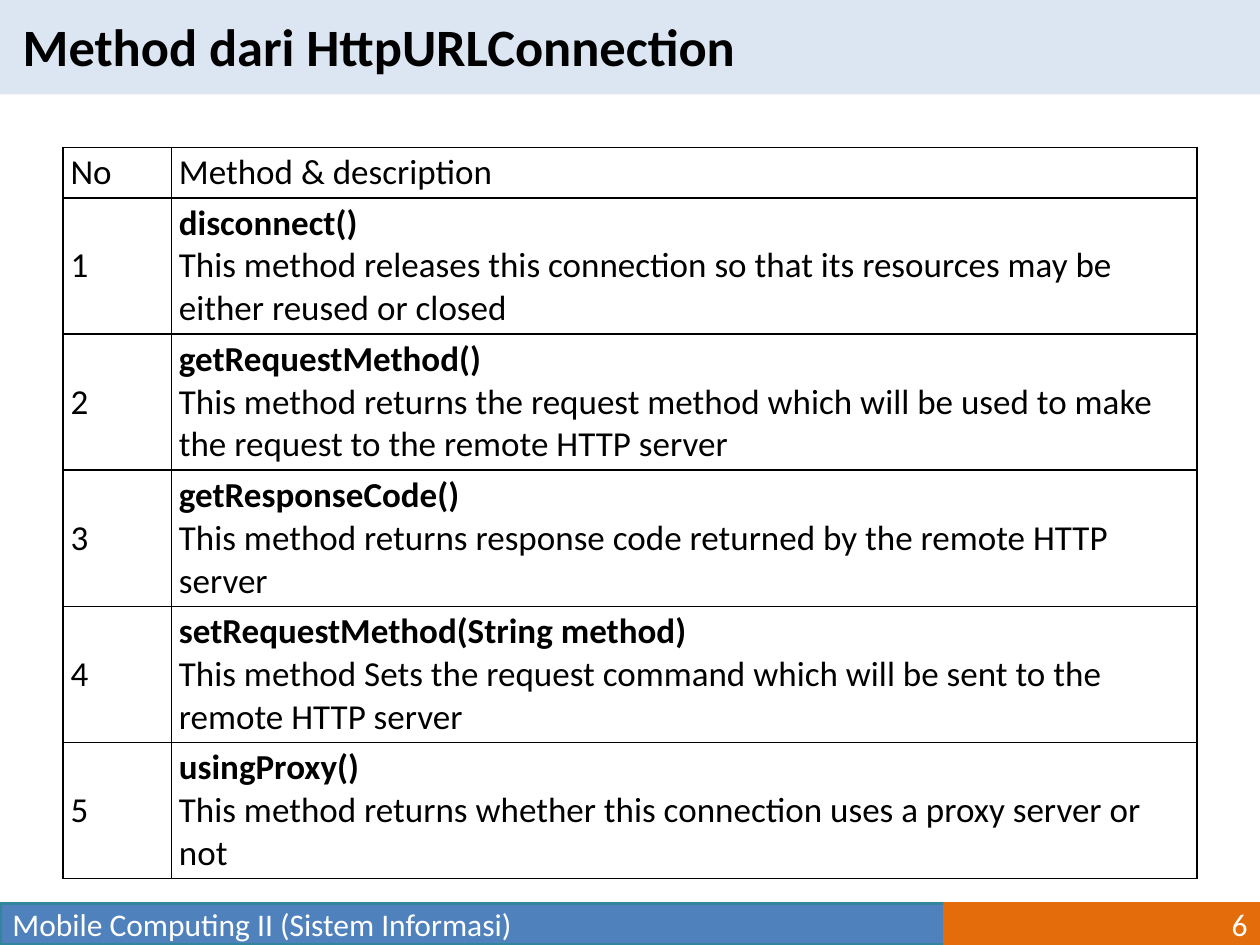
import pptx
import pptx.util
import pptx.dml.color
import pptx.enum.shapes
import pptx.enum.text
import pptx.oxml
import pptx.oxml.ns
from pptx.util import Inches

COLORS = {
    "band": "DCE6F2",
    "footer": "4F81BD",
    "footer_line": "31859C",
    "number": "E46C0A",
    "dark": "000000",
    "light": "FFFFFF",
}
ALIGN = pptx.enum.text.PP_ALIGN
MIDDLE = pptx.enum.text.MSO_ANCHOR.MIDDLE

METHODS = [
    ("disconnect()", "This method releases this connection so that its resources may be either reused or closed"),
    ("getRequestMethod()", "This method returns the request method which will be used to make the request to the remote HTTP server"),
    ("getResponseCode()", "This method returns response code returned by the remote HTTP server"),
    ("setRequestMethod(String method)", "This method Sets the request command which will be sent to the remote HTTP server"),
    ("usingProxy()", "This method returns whether this connection uses a proxy server or not"),
]


def write(para, text, size, color, bold=False):
    span = para.add_run()
    span.text = text
    formats = {"name": "Calibri", "size": pptx.util.Pt(size), "bold": bold}
    for name, value in formats.items():
        setattr(span.font, name, value)
    span.font.color.rgb = pptx.dml.color.RGBColor.from_string(COLORS[color])


def add_bar(page, left, top, width, height, fill, line=None):
    bar = page.shapes.add_shape(
        pptx.enum.shapes.MSO_SHAPE.RECTANGLE,
        Inches(left), Inches(top), Inches(width), Inches(height))
    bar.shadow.inherit = False
    bar.fill.solid()
    bar.fill.fore_color.rgb = pptx.dml.color.RGBColor.from_string(COLORS[fill])
    if line:
        bar.line.color.rgb = pptx.dml.color.RGBColor.from_string(COLORS[line])
        bar.line.width = pptx.util.Pt(2)
    else:
        bar.line.fill.background()
    return bar


deck = pptx.Presentation()
deck.slide_width, deck.slide_height = Inches(10), Inches(7.5)
page = deck.slides.add_slide(deck.slide_layouts[5])

# Title on its band
title = page.shapes.title
band = add_bar(page, 0, 0, 10, 0.75, "band")
title.element.addprevious(band.element)
placement = {"left": 0.08, "top": 0.06, "width": 5.93, "height": 0.61}
for name, value in placement.items():
    setattr(title, name, Inches(value))
title.text_frame.word_wrap = False
title.text_frame.auto_size = pptx.enum.text.MSO_AUTO_SIZE.NONE
title.text_frame.vertical_anchor = MIDDLE
title.text_frame.paragraphs[0].alignment = ALIGN.LEFT
write(title.text_frame.paragraphs[0], "Method dari HttpURLConnection", 30, "dark", True)

# Footer
footer_parts = [
    (0, 7.5, "footer", "footer_line", "Mobile Computing II (Sistem Informasi)", ALIGN.LEFT),
    (7.5, 2.5, "number", "number", "6", ALIGN.RIGHT),
]
for left, width, fill, line, text, alignment in footer_parts:
    bar = add_bar(page, left, 7.17, width, 0.33, fill, line)
    bar.text_frame.word_wrap = True
    bar.text_frame.vertical_anchor = MIDDLE
    bar.text_frame.paragraphs[0].alignment = alignment
    write(bar.text_frame.paragraphs[0], text, 18, "light")

# Table of methods
rows = [("No", [("Method & description", False)])]
for number, (method, description) in enumerate(METHODS, 1):
    rows.append((str(number), [(method, True), (description, False)]))

table = page.shapes.add_table(
    len(rows), 2, Inches(0.5), Inches(1.17), Inches(9), Inches(5.69)).table
table.first_row = table.horz_banding = False
table.columns[0].width, table.columns[1].width = Inches(0.86), Inches(8.14)

cell_format = {
    "vertical_anchor": MIDDLE,
    "margin_left": Inches(0.06),
    "margin_right": Inches(0.06),
    "margin_top": Inches(0.03),
    "margin_bottom": Inches(0.03),
}
for index, (number, lines) in enumerate(rows):
    table.rows[index].height = Inches(1.06 if index else 0.39)
    for column, content in enumerate([[(number, False)], lines]):
        cell = table.cell(index, column)
        for name, value in cell_format.items():
            setattr(cell, name, value)
        for position, (text, bold) in enumerate(content):
            frame = cell.text_frame
            para = frame.add_paragraph() if position else frame.paragraphs[0]
            write(para, text, 20, "dark", bold)
        cell.fill.background()
        properties = cell._tc.get_or_add_tcPr()
        for order, side in enumerate(("lnL", "lnR", "lnT", "lnB")):
            properties.insert(order, pptx.oxml.parse_xml(
                f'<a:{side} {pptx.oxml.ns.nsdecls("a")} w="12700"><a:solidFill>'
                f'<a:srgbClr val="{COLORS["dark"]}"/></a:solidFill></a:{side}>'))

deck.save("out.pptx")
